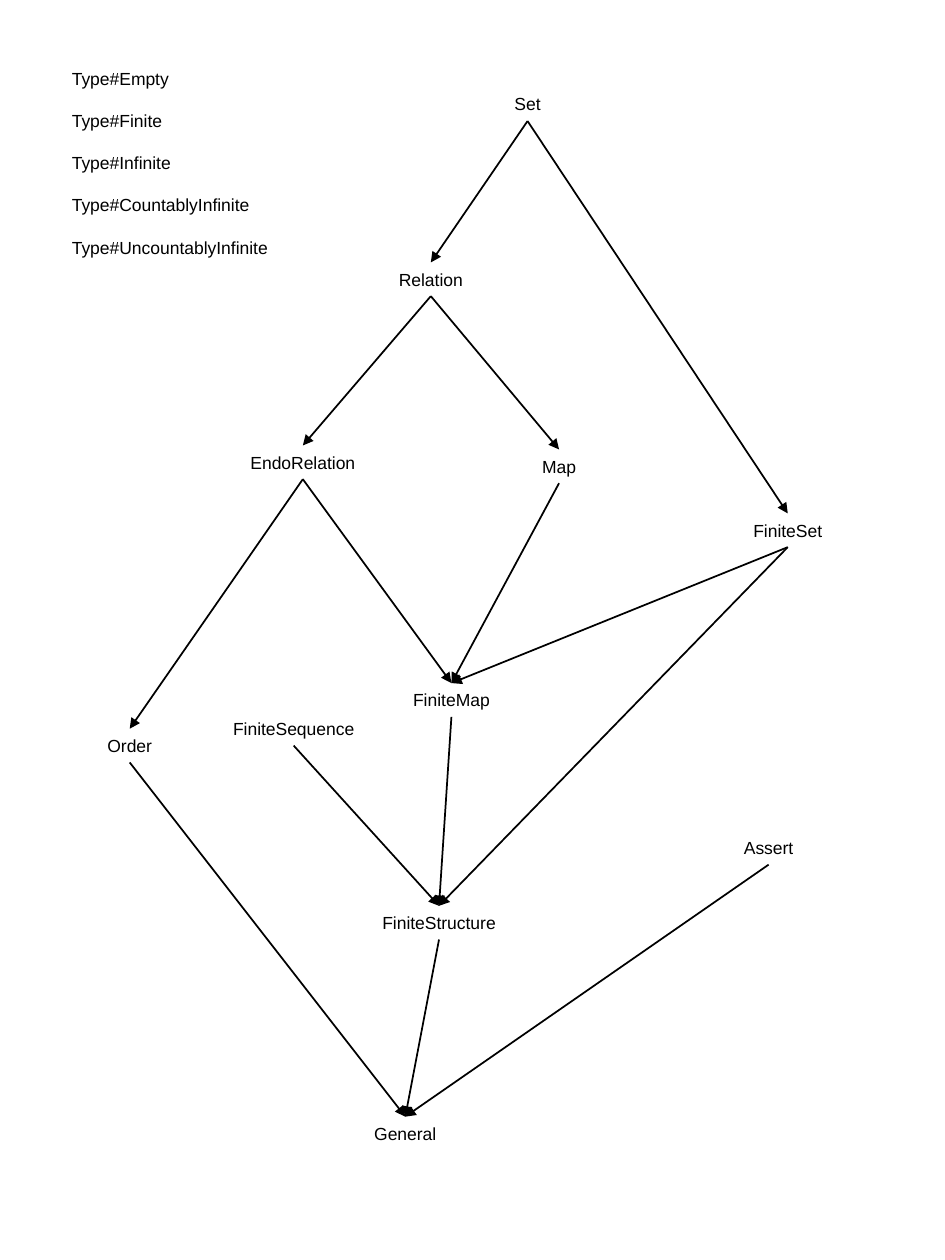
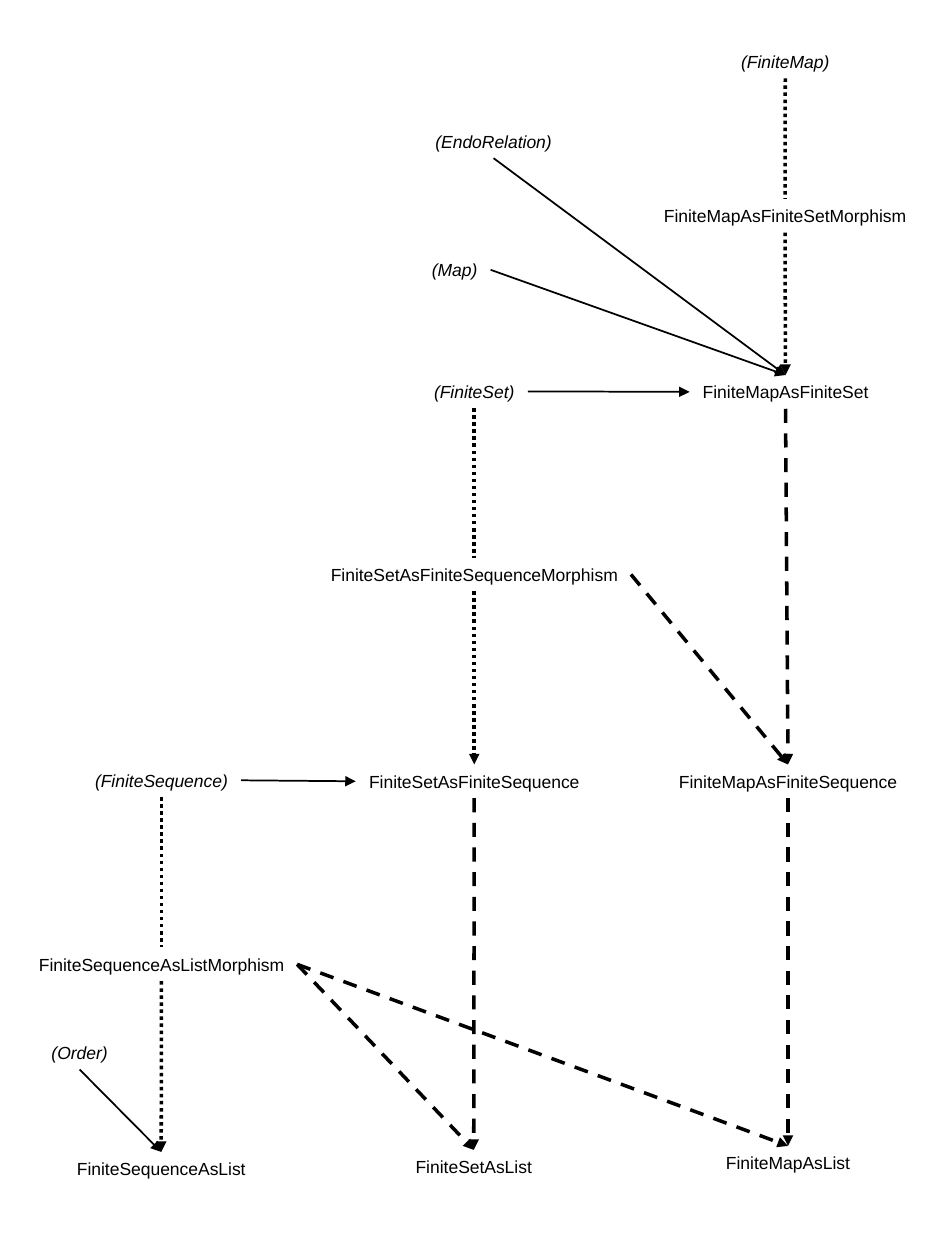
from lxml.etree import SubElement
from pptx import Presentation
from pptx.dml.color import RGBColor
from pptx.enum.dml import MSO_LINE
from pptx.enum.shapes import MSO_CONNECTOR
from pptx.enum.text import MSO_AUTO_SIZE, PP_ALIGN
from pptx.oxml.ns import qn
from pptx.util import Cm, Pt

INK = "000000"
PAPER = "FFFFFF"
FONT = "Arial"
LABEL_HEIGHT = 0.68
TOP, LEFT, BOTTOM, RIGHT = range(4)

PLAIN = dict(width=1)
DOTTED = dict(width=2, dash=MSO_LINE.ROUND_DOT)
DOTTED_START = dict(DOTTED, arrow=False)
DASHED = dict(width=2, dash=MSO_LINE.DASH)
ACROSS = dict(PLAIN, start=RIGHT, end=LEFT)
PLAIN_FROM_SIDE = dict(PLAIN, start=RIGHT)
DASHED_FROM_SIDE = dict(DASHED, start=RIGHT)

SET_KINDS = ["Empty", "Finite", "Infinite", "CountablyInfinite", "UncountablyInfinite"]

TYPES = {
    "Set": (10.1, 1.76, 1.07),
    "Relation": (7.77, 5.29, 1.83),
    "EndoRelation": (4.78, 8.98, 2.65),
    "Map": (10.66, 9.06, 1.22),
    "FiniteSet": (14.92, 10.35, 1.92),
    "FiniteMap": (8.06, 13.77, 2.08),
    "FiniteSequence": (4.43, 14.35, 2.98),
    "Order": (1.9, 14.69, 1.43),
    "Assert": (14.73, 16.75, 1.53),
    "FiniteStructure": (7.44, 18.26, 2.82),
    "General": (7.28, 22.51, 1.78),
}

TYPE_USES = {
    "Set": ["Relation", "FiniteSet"],
    "Relation": ["EndoRelation", "Map"],
    "EndoRelation": ["Order", "FiniteMap"],
    "Map": ["FiniteMap"],
    "FiniteSet": ["FiniteMap", "FiniteStructure"],
    "FiniteMap": ["FiniteStructure"],
    "FiniteSequence": ["FiniteStructure"],
    "Order": ["General"],
    "Assert": ["General"],
    "FiniteStructure": ["General"],
}

MORPHISMS = {
    "(FiniteMap)": (14.67, 0.9, 2.32),
    "(EndoRelation)": (8.51, 2.51, 2.88),
    "FiniteMapAsFiniteSetMorphism": (13.11, 4.01, 5.43),
    "(Map)": (8.44, 5.1, 1.45),
    "(FiniteSet)": (8.48, 7.55, 2.16),
    "FiniteMapAsFiniteSet": (13.9, 7.56, 3.87),
    "FiniteSetAsFiniteSequenceMorphism": (6.4, 11.24, 6.32),
    "(FiniteSequence)": (1.65, 15.39, 3.21),
    "FiniteSetAsFiniteSequence": (7.17, 15.41, 4.78),
    "FiniteMapAsFiniteSequence": (13.42, 15.41, 4.93),
    "FiniteSequenceAsListMorphism": (0.52, 19.1, 5.47),
    "(Order)": (0.77, 20.88, 1.67),
    "FiniteSequenceAsList": (1.28, 23.22, 3.94),
    "FiniteSetAsList": (8.11, 23.18, 2.88),
    "FiniteMapAsList": (14.37, 23.1, 3.03),
}

MORPHISM_LINKS = [
    ("(FiniteMap)", "FiniteMapAsFiniteSetMorphism", DOTTED_START),
    ("FiniteMapAsFiniteSetMorphism", "FiniteMapAsFiniteSet", DOTTED),
    ("(FiniteSet)", "FiniteSetAsFiniteSequenceMorphism", DOTTED_START),
    ("FiniteSetAsFiniteSequenceMorphism", "FiniteSetAsFiniteSequence", DOTTED),
    ("(FiniteSequence)", "FiniteSequenceAsListMorphism", DOTTED_START),
    ("FiniteSequenceAsListMorphism", "FiniteSequenceAsList", DOTTED),
    ("(EndoRelation)", "FiniteMapAsFiniteSet", PLAIN),
    ("(Map)", "FiniteMapAsFiniteSet", PLAIN_FROM_SIDE),
    ("(Order)", "FiniteSequenceAsList", PLAIN),
    ("(FiniteSet)", "FiniteMapAsFiniteSet", ACROSS),
    ("(FiniteSequence)", "FiniteSetAsFiniteSequence", ACROSS),
    ("FiniteMapAsFiniteSet", "FiniteMapAsFiniteSequence", DASHED),
    ("FiniteSetAsFiniteSequence", "FiniteSetAsList", DASHED),
    ("FiniteMapAsFiniteSequence", "FiniteMapAsList", DASHED),
    ("FiniteSetAsFiniteSequenceMorphism", "FiniteMapAsFiniteSequence", DASHED_FROM_SIDE),
    ("FiniteSequenceAsListMorphism", "FiniteSetAsList", DASHED_FROM_SIDE),
    ("FiniteSequenceAsListMorphism", "FiniteMapAsList", DASHED_FROM_SIDE),
]


def color(hex_string):
    """Turn a hex string into a colour."""
    return RGBColor.from_string(hex_string)


def write(paragraph, text, italic=False, align=PP_ALIGN.LEFT, before=0):
    """Fill a paragraph with formatted text."""
    paragraph.alignment = align
    if before:
        paragraph.space_before = Pt(before)
    run = paragraph.add_run()
    run.text = text
    run.font.name = FONT
    run.font.size = Pt(10)
    run.font.italic = italic
    run.font.color.rgb = color(INK)


def add_text(slide, lines, left, top, width, height=LABEL_HEIGHT, gap=0, **style):
    """Add an unwrapped text box with one paragraph for each line."""
    box = slide.shapes.add_textbox(Cm(left), Cm(top), Cm(width), Cm(height))
    frame = box.text_frame
    frame.word_wrap = False
    frame.auto_size = MSO_AUTO_SIZE.SHAPE_TO_FIT_TEXT
    for index, line in enumerate(lines):
        paragraph = frame.add_paragraph() if index else frame.paragraphs[0]
        write(paragraph, line, before=gap if index else 0, **style)
    return box


def add_labels(slide, places):
    """Add centred labels, italic when in brackets, and return them by name."""
    return {
        name: add_text(slide, [name], *place, align=PP_ALIGN.CENTER,
                       italic=name.startswith("("))
        for name, place in places.items()
    }


def add_link(slide, source, target, width, dash=None, arrow=True, start=BOTTOM, end=TOP):
    """Join two labels with a straight line."""
    link = slide.shapes.add_connector(MSO_CONNECTOR.STRAIGHT, 0, 0, 0, 0)
    link.begin_connect(source, start)
    link.end_connect(target, end)
    link.line.width = Pt(width)
    link.line.color.rgb = color(INK)
    if dash:
        link.line.dash_style = dash
    properties = link.element.spPr
    if arrow:
        SubElement(properties.find(qn("a:ln")), qn("a:tailEnd"), type="triangle")
    SubElement(properties, qn("a:effectLst"))


def add_diagram(deck, places, links):
    """Add a slide with its labels and the links between them."""
    slide = deck.slides.add_slide(deck.slide_layouts[6])
    slide.background.fill.solid()
    slide.background.fill.fore_color.rgb = color(PAPER)
    labels = add_labels(slide, places)
    for source, target, style in links:
        add_link(slide, labels[source], labels[target], **style)
    return slide


def main():
    """Build the type hierarchy and the morphism diagram."""
    deck = Presentation()
    deck.slide_width, deck.slide_height = Cm(19.05), Cm(25.4)
    type_links = [(source, target, PLAIN)
                  for source, targets in TYPE_USES.items() for target in targets]
    hierarchy = add_diagram(deck, TYPES, type_links)
    add_text(hierarchy, [f"Type#{kind}" for kind in SET_KINDS],
             1.2, 1.24, 4.48, 4.09, gap=12.1)
    add_diagram(deck, MORPHISMS, MORPHISM_LINKS)
    deck.save("out.pptx")


if __name__ == "__main__":
    main()
